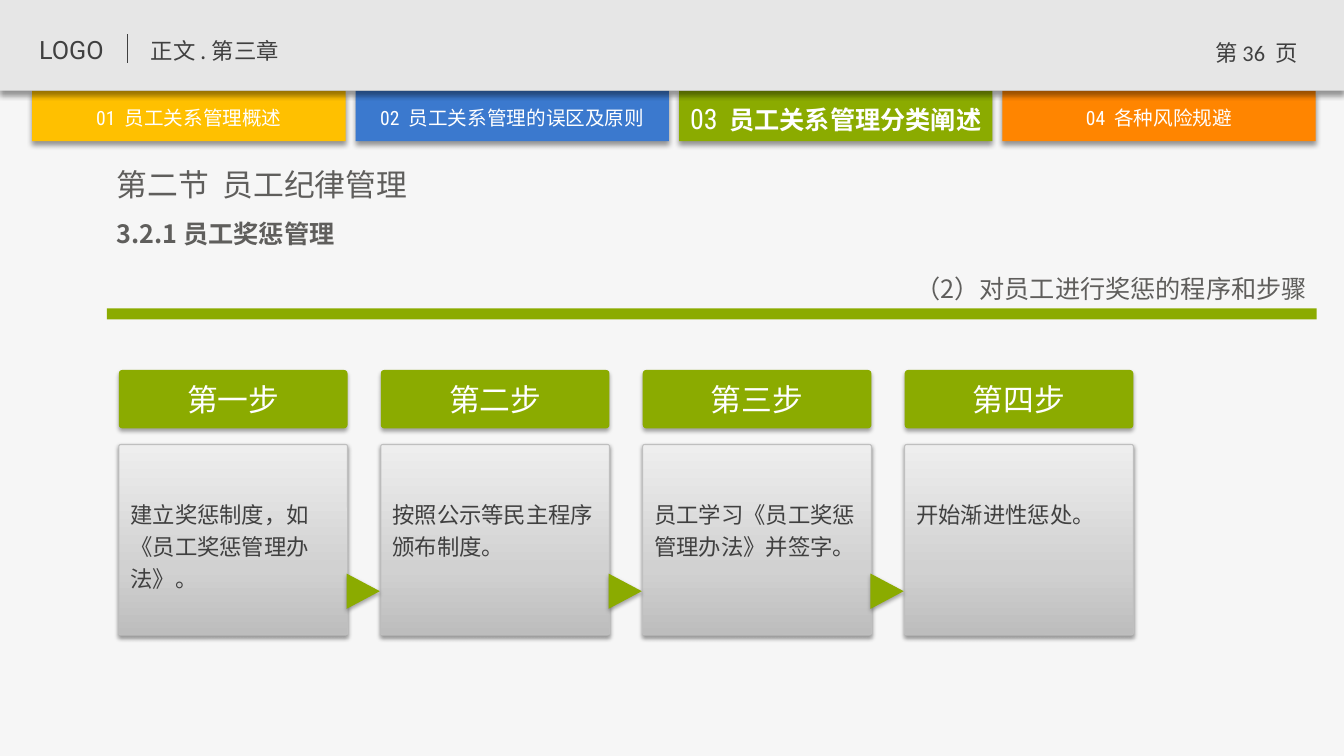
from lxml import etree
from copy import deepcopy
from pptx import Presentation
from pptx.dml.color import RGBColor
from pptx.enum.shapes import MSO_CONNECTOR, MSO_SHAPE as SHAPE
from pptx.enum.text import MSO_ANCHOR as ANCHOR, PP_ALIGN as ALIGN
from pptx.oxml.ns import qn
from pptx.util import Inches, Pt

CJK, ROBOTO, CONDENSED = "Noto Sans CJK SC", "Roboto", "Roboto Condensed"
GREEN, DARK, GREY, WHITE = "8BAB00", "404040", "5F5E5C", "FFFFFF"
TABS = [
    ("FFC000", [("01  ", CONDENSED, 14, False), ("员工关系管理概述", CJK, 14, False)]),
    ("3B79CE", [("02  ", CONDENSED, 14, False), ("员工关系管理的误区及原则", CJK, 14, False)]),
    (GREEN, [("03", CONDENSED, 20, False), ("  ", CONDENSED, 18, False),
             ("员工关系管理分类阐述", CJK, 18, True)]),
    ("FF8500", [("04  ", CONDENSED, 14, False), ("各种风险规避", CJK, 14, False)]),
]
STEPS = [
    ("第一步", "建立奖惩制度，如《员工奖惩管理办法》。"),
    ("第二步", "按照公示等民主程序颁布制度。"),
    ("第三步", "员工学习《员工奖惩管理办法》并签字。"),
    ("第四步", "开始渐进性惩处。"),
]


def rgb(color):
    return RGBColor.from_string(color)


def add_shadow(s, alpha, blur, dist):
    effects = etree.SubElement(s._element.spPr, qn("a:effectLst"))
    shadow = etree.SubElement(effects, qn("a:outerShdw"), blurRad=str(Pt(blur)),
                              dist=str(Pt(dist)), dir="5400000", algn="t", rotWithShape="0")
    color = etree.SubElement(shadow, qn("a:srgbClr"), val="000000")
    etree.SubElement(color, qn("a:alpha"), val=str(alpha * 1000))


def add_block(sl, kind, x, y, w, h, fill, line=None, shadow=None, radius=None):
    s = sl.shapes.add_shape(kind, Inches(x), Inches(y), Inches(w), Inches(h))
    if radius is not None:
        s.adjustments[0] = radius
    if fill:
        s.fill.solid()
        s.fill.fore_color.rgb = rgb(fill)
    if line:
        s.line.color.rgb = rgb(line)
        s.line.width = Pt(0.75)
    else:
        s.line.fill.background()
    if shadow:
        add_shadow(s, *shadow)
    else:
        s.shadow.inherit = False
    return s


def write(s, runs, color, align=ALIGN.LEFT, anchor=ANCHOR.TOP, spacing=None,
          insets=(0.1, 0.05, 0.1, 0.05)):
    tf = s.text_frame
    tf.word_wrap = True
    tf.vertical_anchor = anchor
    tf.margin_left, tf.margin_top, tf.margin_right, tf.margin_bottom = map(Inches, insets)
    p = tf.paragraphs[0]
    p.alignment = align
    if spacing:
        p.line_spacing = spacing
    for text, font, size, bold in runs:
        r = p.add_run()
        r.text = text
        r.font.size, r.font.bold, r.font.name = Pt(size), bold, font
        r.font.color.rgb = rgb(color)
        etree.SubElement(r._r.get_or_add_rPr(), qn("a:ea"), typeface=font)


def add_text(sl, x, y, w, h, runs, color, **style):
    s = sl.shapes.add_textbox(Inches(x), Inches(y), Inches(w), Inches(h))
    write(s, runs, color, **style)


def add_tabs(sl, x, y, w, h):
    gap = 0.1
    tab_w = (w - gap * (len(TABS) - 1)) / len(TABS)
    for i, (fill, runs) in enumerate(TABS):
        s = add_block(sl, SHAPE.RECTANGLE, x + i * (tab_w + gap), y, tab_w, h, fill,
                      shadow=(40, 4, 3))
        write(s, runs, WHITE, align=ALIGN.CENTER, anchor=ANCHOR.MIDDLE, insets=(0, 0.04, 0, 0))


def add_header(sl, x, y, w, h):
    add_block(sl, SHAPE.RECTANGLE, x, y, w, h, "E6E6E6", shadow=(40, 4, 3))
    add_text(sl, x + 0.29, y + 0.29, 0.98, 0.4, [("LOGO", ROBOTO, 18, False)], DARK)
    divider = sl.shapes.add_connector(MSO_CONNECTOR.STRAIGHT, Inches(x + 1.27), Inches(y + 0.34),
                                      Inches(x + 1.27), Inches(y + 0.63))
    divider.line.color.rgb = rgb(DARK)
    divider.line.width = Pt(0.75)
    etree.SubElement(divider._element.spPr, qn("a:effectLst"))
    add_text(sl, x + 1.4, y + 0.32, 3.27, 0.37, [("正文 . 第三章", CJK, 16, False)], DARK)
    page = [("第 ", CJK, 16, False), ("36  ", "Calibri", 16, False), ("页", CJK, 16, False)]
    add_text(sl, x + w - 1.47, y + 0.34, 1.2, 0.4, page, DARK, align=ALIGN.CENTER)


def add_headings(sl, x, y, w):
    title = sl.shapes.title
    title.left, title.top, title.width, title.height = map(Inches, (x, y, 5.44, 0.47))
    write(title, [("第二节  员工纪律管理", CJK, 22, False)], GREY)
    add_text(sl, x, y + 0.44, 5.77, 0.46, [("3.2.1 员工奖惩管理", CJK, 18, True)], GREY,
             spacing=1.3)
    add_text(sl, x + w - 4.28, y + 0.98, 4.28, 0.49,
             [("（2）对员工进行奖惩的程序和步骤", CJK, 18, False)], GREY,
             align=ALIGN.RIGHT, spacing=1.3)
    add_block(sl, SHAPE.RECTANGLE, x, y + 1.47, w, 0.11, GREEN)


def shade(s):
    s.fill.gradient()
    s.fill.gradient_angle = 90
    stops = s._element.spPr.find(qn("a:gradFill")).find(qn("a:gsLst"))
    stops.insert(1, deepcopy(stops[0]))
    for stop, (position, color) in zip(s.fill.gradient_stops,
                                       [(0, "BDBDBD"), (0.35, "D1D1D1"), (1, "EEEEEE")]):
        stop.position = position
        stop.color.rgb = rgb(color)


def add_step(sl, x, y, w, label, detail):
    head = add_block(sl, SHAPE.ROUNDED_RECTANGLE, x, y, w, 0.58, GREEN,
                     shadow=(35, 3.1, 1.8), radius=0.06)
    write(head, [(label, CJK, 22, False)], WHITE, align=ALIGN.CENTER, anchor=ANCHOR.MIDDLE)
    card = add_block(sl, SHAPE.ROUNDED_RECTANGLE, x, y + 0.74, w, 1.89, None, line="BFBFBF",
                     shadow=(38, 3.1, 1.6), radius=0.01)
    shade(card)
    write(card, [(detail, CJK, 16, False)], DARK, spacing=1.2, insets=(0.11, 0.5, 0.11, 0.05))


def add_steps(sl, x, y):
    w, pitch = 2.27, 2.6
    for i, (label, detail) in enumerate(STEPS):
        add_step(sl, x + i * pitch, y, w, label, detail)
    for i in range(len(STEPS) - 1):
        arrow = add_block(sl, SHAPE.FLOWCHART_EXTRACT, x + i * pitch + w - 0.02, y + 2.03,
                          0.35, 0.33, GREEN, shadow=(35, 3.1, 1.8))
        arrow.rotation = 90


def main():
    prs = Presentation()
    prs.slide_width, prs.slide_height = Inches(13.34), Inches(7.5)
    sl = prs.slides.add_slide(prs.slide_layouts[5])
    sl.background.fill.solid()
    sl.background.fill.fore_color.rgb = rgb("F6F6F6")
    add_tabs(sl, 0.32, 0.9, 12.74, 0.5)
    add_header(sl, 0, 0, 13.34, 0.9)
    add_headings(sl, 1.06, 1.59, 12.01)
    add_steps(sl, 1.18, 3.67)
    prs.save("out.pptx")


if __name__ == "__main__":
    main()
